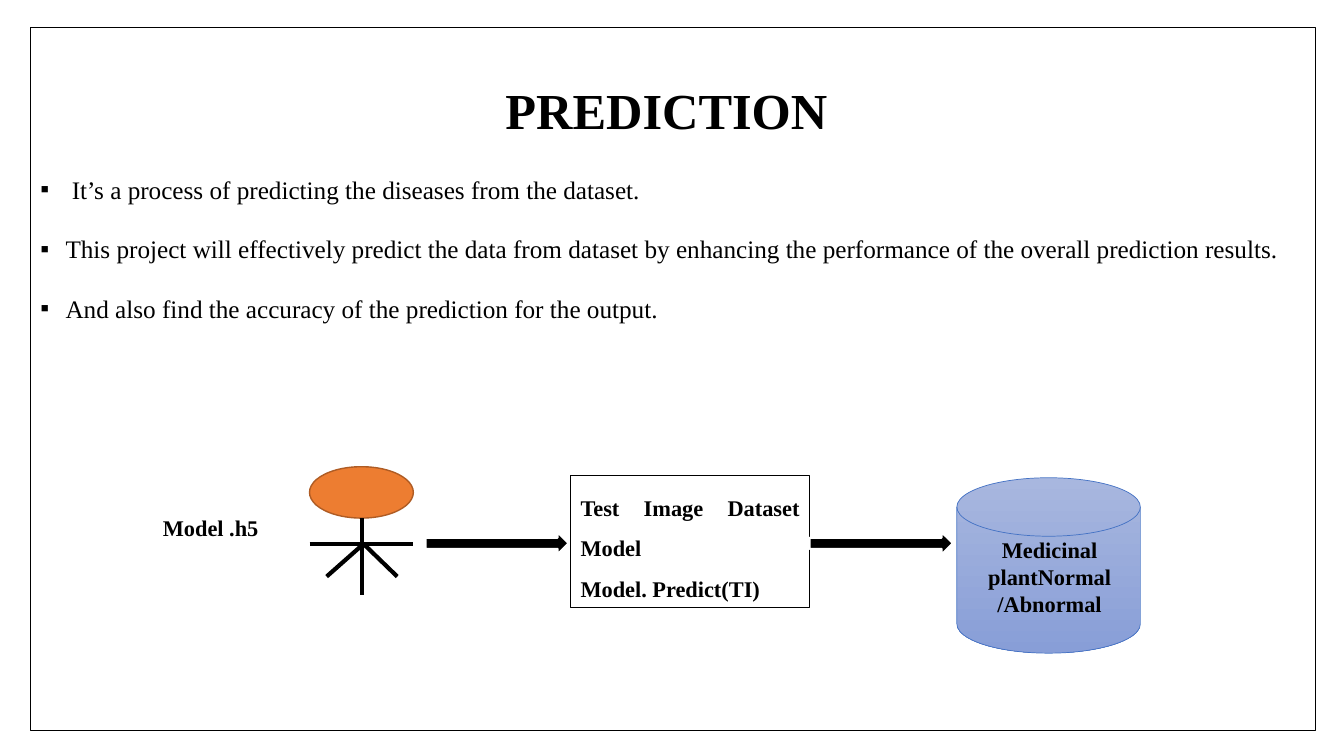
from lxml.etree import SubElement
from pptx import Presentation
from pptx.dml.color import RGBColor
from pptx.enum.shapes import MSO_CONNECTOR, MSO_SHAPE
from pptx.enum.text import MSO_ANCHOR, MSO_AUTO_SIZE, PP_ALIGN
from pptx.oxml.ns import qn
from pptx.util import Pt

PX = 9144  # 100 px to the inch
FONT = "Times New Roman"
COLORS = {
    "ink": "000000",
    "paper": "FFFFFF",
    "head": "ED7D31",
    "head_edge": "AF5C24",
    "disk_top": "A8B7DF",
    "disk_bottom": "889ED7",
    "disk_edge": "4472C4",
}


def rgb(name):
    return RGBColor.from_string(COLORS[name])


class SlideBuilder:
    def __init__(self, prs):
        self.slide = prs.slides.add_slide(prs.slide_layouts[1])

    def place(self, sp, box):
        sp.left, sp.top, sp.width, sp.height = (v * PX for v in box)

    def add_text(self, tf, lines, size, bold=False, align=PP_ALIGN.CENTER,
                 spacing=1.0, before=0, bullet=None):
        tf.word_wrap = True
        tf.auto_size = MSO_AUTO_SIZE.NONE
        for i, line in enumerate(lines):
            p = tf.paragraphs[0] if i == 0 else tf.add_paragraph()
            if bullet:
                self.add_bullet(p, bullet)
            p.alignment = align
            p.line_spacing = spacing
            p.space_before = Pt(before if i else 0)
            r = p.add_run()
            r.text = line
            r.font.name = FONT
            r.font.size = Pt(size)
            r.font.bold = bold
            r.font.color.rgb = rgb("ink")

    def add_bullet(self, p, char, indent=25):
        pPr = p._p.get_or_add_pPr()
        pPr.set("marL", str(indent * PX))
        pPr.set("indent", str(-indent * PX))
        SubElement(pPr, qn("a:buFont")).set("typeface", FONT)
        SubElement(pPr, qn("a:buChar")).set("char", char)

    def title(self, text, box):
        sp = self.slide.shapes.title
        self.place(sp, box)
        sp.text_frame.vertical_anchor = MSO_ANCHOR.MIDDLE
        self.add_text(sp.text_frame, [text], 36, bold=True, spacing=0.9)

    def body(self, lines, box):
        sp = self.slide.placeholders[1]
        self.place(sp, box)
        self.add_text(sp.text_frame, lines, 18, align=PP_ALIGN.JUSTIFY,
                      spacing=1.5, before=10, bullet="▪")

    def shape(self, kind, box, line, width, fill=None):
        """Add a preset shape; a pair of colours as fill makes a vertical gradient."""
        sp = self.slide.shapes.add_shape(kind, *(v * PX for v in box))
        sp.shadow.inherit = False
        sp.line.color.rgb = rgb(line)
        sp.line.width = Pt(width)
        if fill is None:
            sp.fill.background()
        elif isinstance(fill, tuple):
            sp.fill.gradient()
            sp.fill.gradient_angle = 270
            for stop, name, position in zip(sp.fill.gradient_stops, fill, (0, 1)):
                stop.color.rgb = rgb(name)
                stop.position = position
        else:
            sp.fill.solid()
            sp.fill.fore_color.rgb = rgb(fill)
        return sp

    def label(self, text, box):
        sp = self.slide.shapes.add_textbox(*(v * PX for v in box))
        self.add_text(sp.text_frame, [text], 16, bold=True)

    def line(self, x1, y1, x2, y2):
        cxn = self.slide.shapes.add_connector(
            MSO_CONNECTOR.STRAIGHT, x1 * PX, y1 * PX, x2 * PX, y2 * PX)
        cxn.line.color.rgb = rgb("ink")
        cxn.line.width = Pt(3)
        SubElement(cxn._element.spPr, qn("a:effectLst"))


def main():
    prs = Presentation()
    prs.slide_width, prs.slide_height = 1333 * PX, 750 * PX
    s = SlideBuilder(prs)

    s.title("PREDICTION", (86, 40, 1150, 145))
    s.body([
        " It’s a process of predicting the diseases from the dataset.",
        "This project will effectively predict the data from dataset by "
        "enhancing the performance of the overall prediction results.",
        "And also find the accuracy of the prediction for the output.",
    ], (30, 153, 1275, 572))
    s.shape(MSO_SHAPE.RECTANGLE, (30, 27, 1275, 698), "ink", 1)

    s.shape(MSO_SHAPE.FLOWCHART_MAGNETIC_DISK, (949, 474, 182, 174),
            "disk_edge", 0.5, ("disk_top", "disk_bottom"))
    s.label("Medicinal plantNormal /Abnormal", (945, 527, 192, 91))

    s.shape(MSO_SHAPE.OVAL, (307, 463, 103, 51), "head_edge", 1, "head")
    for limb in ((359, 514, 359, 590), (307, 540, 410, 540),
                 (359, 541, 324, 572), (361, 540, 394, 572)):
        s.line(*limb)
    s.label("Model .h5", (113, 505, 192, 37))

    test_box = s.shape(MSO_SHAPE.RECTANGLE, (566, 472, 237, 131), "ink", 0.75)
    test_box.text_frame.vertical_anchor = MSO_ANCHOR.TOP
    s.add_text(test_box.text_frame, ["Test Image Dataset Model", "Model. Predict(TI)"],
               16, bold=True, align=PP_ALIGN.JUSTIFY, spacing=1.5)

    for x in (422, 803):
        s.shape(MSO_SHAPE.RIGHT_ARROW, (x, 528, 142, 22), "paper", 1.5, "ink")

    prs.save("out.pptx")


if __name__ == "__main__":
    main()
